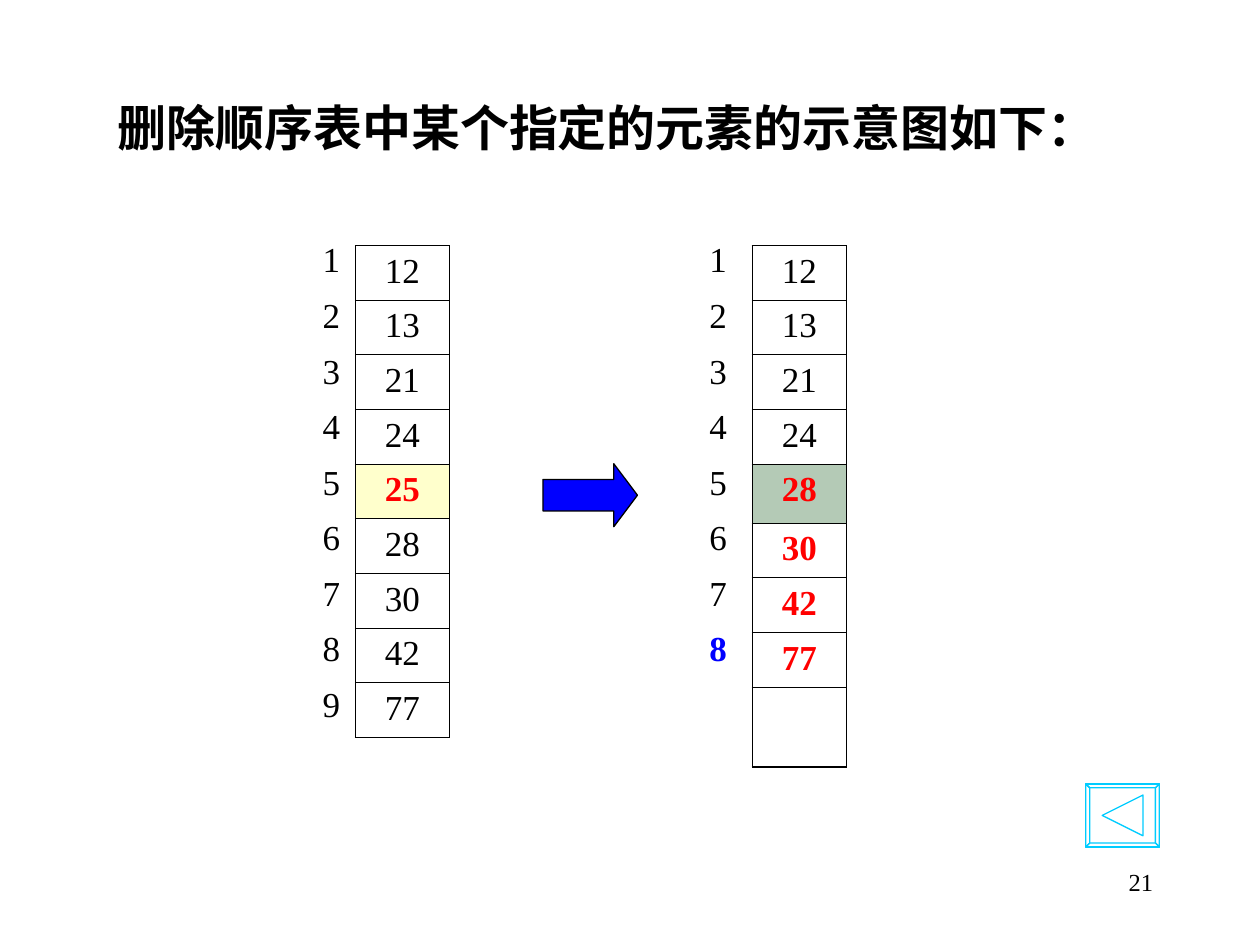
import pptx
import pptx.util
import pptx.dml.color
import pptx.enum.shapes
import pptx.enum.text
import pptx.oxml
import pptx.oxml.ns
from lxml import etree

Pt = pptx.util.Pt
RGBColor = pptx.dml.color.RGBColor
ALIGN = pptx.enum.text.PP_ALIGN
qn = pptx.oxml.ns.qn

BLACK = RGBColor(0x00, 0x00, 0x00)
WHITE = RGBColor(0xFF, 0xFF, 0xFF)
RED = RGBColor(0xFF, 0x00, 0x00)
BLUE = RGBColor(0x00, 0x00, 0xFF)
CREAM = RGBColor(0xFF, 0xFF, 0xCC)
SAGE = RGBColor(0xB4, 0xCA, 0xB6)
CYAN = RGBColor(0x00, 0xCC, 0xFF)

LATIN = "Times New Roman"
CJK = "Noto Sans CJK SC"
PLAIN_TABLE = "{2D5ABB26-0587-4C30-8999-92F81FD0307C}"
ROW, INDEX_ROW = 31.25, 31.75


def style(p, size, color=BLACK, bold=False, align=ALIGN.LEFT, name=LATIN):
    p.alignment = align
    p.font.size = Pt(size)
    p.font.name = name
    p.font.bold = bold
    p.font.color.rgb = color


def add_title(s, text, left, top, width, height):
    sp = s.shapes.title
    sp.left, sp.top, sp.width, sp.height = Pt(left), Pt(top), Pt(width), Pt(height)
    tf = sp.text_frame
    tf.word_wrap = True
    tf.vertical_anchor = pptx.enum.text.MSO_ANCHOR.TOP
    tf.auto_size = pptx.enum.text.MSO_AUTO_SIZE.SHAPE_TO_FIT_TEXT
    p = tf.paragraphs[0]
    p.text = text
    style(p, 28, bold=True, name=CJK)
    latin = p.font._element.find(qn("a:latin"))
    ea = etree.Element(qn("a:ea"), typeface=CJK)
    latin.addnext(ea)


def set_borders(cell, bottom):
    """Draw hairlines round a cell, with the given width for its bottom line."""
    tc_pr = cell._tc.get_or_add_tcPr()
    widths = {"lnL": 0.45, "lnR": 0.45, "lnT": 0.45, "lnB": bottom}
    for i, (tag, width) in enumerate(widths.items()):
        ln = etree.Element(qn("a:" + tag), w=str(Pt(width)))
        fill = etree.SubElement(ln, qn("a:solidFill"))
        etree.SubElement(fill, qn("a:srgbClr"), val=str(BLACK))
        tc_pr.insert(i, ln)


def add_column(s, left, top, width, heights, texts, marked=(), mark_color=RED):
    """Add a one-column table whose marked rows are bold and coloured."""
    frame = s.shapes.add_table(len(texts), 1, Pt(left), Pt(top),
                               Pt(width), Pt(sum(heights)))
    table = frame.table
    table.first_row = table.horz_banding = False
    table._tbl.tblPr.find(qn("a:tableStyleId")).text = PLAIN_TABLE
    for i, (text, height) in enumerate(zip(texts, heights)):
        table.rows[i].height = Pt(height)
        cell = table.cell(i, 0)
        cell.fill.background()
        p = cell.text_frame.paragraphs[0]
        p.text = text
        on = i in marked
        style(p, 20, mark_color if on else BLACK, on, ALIGN.CENTER)
    return table


def add_list(s, left, top, gap, heights, values, length, marked, highlight,
             marked_index=()):
    """Draw a sequential list: index numbers, then the boxed values."""
    rows = len(values)
    numbers = [str(i + 1) if i < length else "" for i in range(rows)]
    add_column(s, left, top, 30.25, [INDEX_ROW] * rows, numbers, marked_index, BLUE)
    table = add_column(s, left + gap, top + 5.75, 54, heights, values, marked)
    for i in range(rows):
        cell = table.cell(i, 0)
        cell.fill.solid()
        cell.fill.fore_color.rgb = highlight if i == marked[0] else WHITE
        set_borders(cell, 1.08 if i == rows - 1 else 0.45)


def add_arrow(s, left, top, width, height):
    sp = s.shapes.add_shape(pptx.enum.shapes.MSO_SHAPE.RIGHT_ARROW,
                            Pt(left), Pt(top), Pt(width), Pt(height))
    sp.shadow.inherit = False
    sp.adjustments[0], sp.adjustments[1] = 0.5, 0.375
    sp.fill.solid()
    sp.fill.fore_color.rgb = BLUE
    sp.line.color.rgb = BLACK
    sp.line.width = Pt(0.75)


def add_back_button(s, left, top, width, height, bevel=2.25):
    """Outline a bevelled button with a triangle pointing left."""
    outer = [(0, 0), (width, 0), (width, height), (0, height)]
    inner = [(bevel, bevel), (width - bevel, bevel),
             (width - bevel, height - bevel), (bevel, height - bevel)]
    sides = [[outer[i], outer[(i + 1) % 4], inner[(i + 1) % 4], inner[i]]
             for i in range(4)]
    mid_x, mid_y, reach = width / 2, height / 2, 11.65
    triangle = [(mid_x - reach, mid_y), (mid_x + reach, mid_y - reach),
                (mid_x + reach, mid_y + reach)]
    builder = s.shapes.build_freeform(0, 0, scale=1.0)
    for contour in [outer, *sides, triangle]:
        points = [(Pt(left + x), Pt(top + y)) for x, y in contour]
        builder.move_to(*points[0])
        builder.add_line_segments(points[1:], close=True)
    # The builder starts at the origin; the first contour is the real start.
    builder._start_x, builder._start_y = Pt(left), Pt(top)
    sp = builder.convert_to_shape()
    sp.shadow.inherit = False
    sp.fill.background()
    sp.line.color.rgb = CYAN
    sp.line.width = Pt(0.75)


def add_page_number(s, text, left, top, width, height):
    tf = s.shapes.add_textbox(Pt(left), Pt(top), Pt(width), Pt(height)).text_frame
    tf.word_wrap = True
    p = tf.paragraphs[0]
    p.text = text
    style(p, 14, align=ALIGN.RIGHT)


def main():
    prs = pptx.Presentation()
    prs.slide_width, prs.slide_height = Pt(720), Pt(540)
    s = prs.slides.add_slide(prs.slide_layouts[5])

    add_title(s, "删除顺序表中某个指定的元素的示意图如下：", 60, 52, 556, 41)
    before = ["12", "13", "21", "24", "25", "28", "30", "42", "77"]
    after = before[:4] + before[5:] + [""]
    add_list(s, 174.25, 134.5, 28.75, [ROW] * 9, before, 9, [4], CREAM)
    add_list(s, 395.25, 134.5, 34.5, [ROW] * 4 + [33.75] + [ROW] * 3 + [45.75],
             after, 8, [4, 5, 6, 7], SAGE, marked_index=[7])
    add_arrow(s, 310.25, 265, 54, 36)
    add_back_button(s, 620.5, 448, 42, 36)
    add_page_number(s, "21", 516, 492, 150, 36)
    prs.save("out.pptx")


if __name__ == "__main__":
    main()
